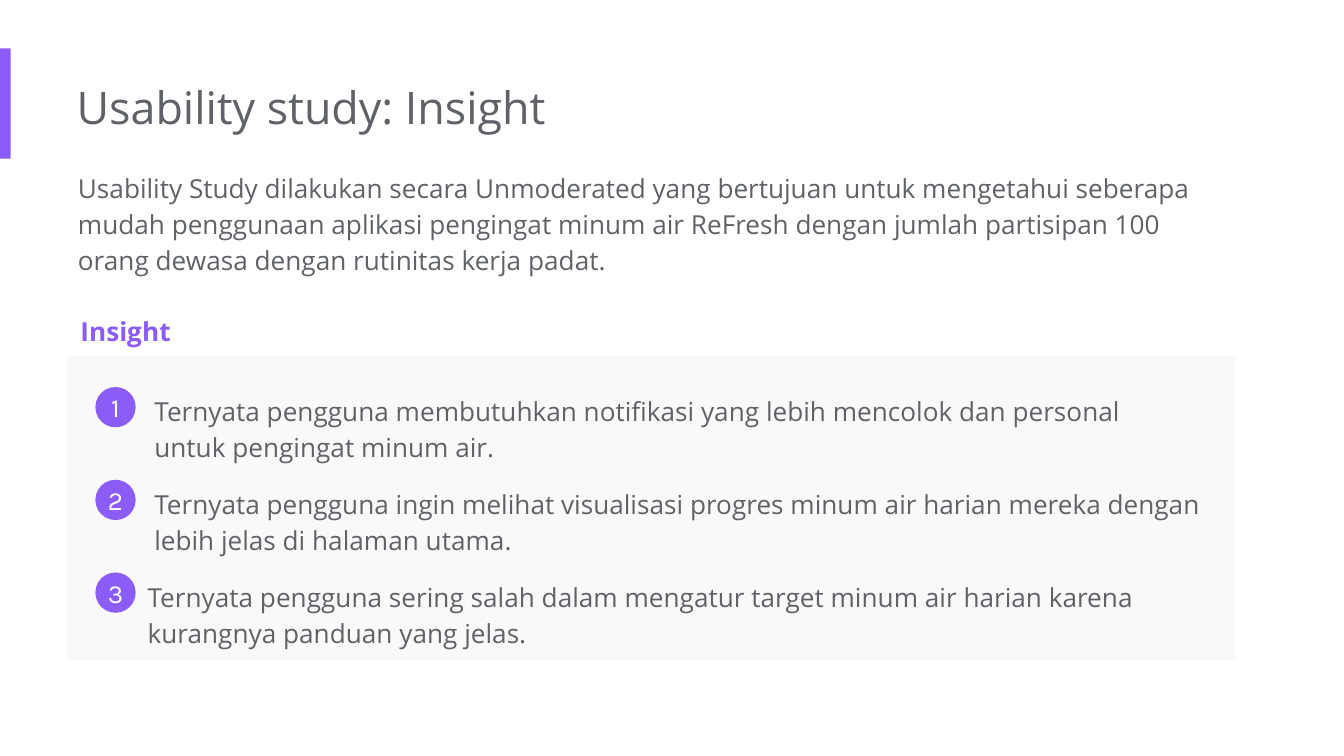
from dataclasses import dataclass

from pptx import Presentation
from pptx.dml.color import RGBColor
from pptx.enum.shapes import MSO_SHAPE
from pptx.enum.text import MSO_ANCHOR, MSO_AUTO_SIZE, PP_ALIGN
from pptx.util import Inches, Pt

RECT = MSO_SHAPE.RECTANGLE
OVAL = MSO_SHAPE.OVAL
TOP = MSO_ANCHOR.TOP
MIDDLE = MSO_ANCHOR.MIDDLE
GROW = MSO_AUTO_SIZE.SHAPE_TO_FIT_TEXT
LEFT = PP_ALIGN.LEFT
CENTER = PP_ALIGN.CENTER
TITLE_ONLY = 5


@dataclass(frozen=True)
class Theme:
    accent: str = "8B5CF6"
    ink: str = "5F6368"
    panel: str = "FAF8F9"
    white: str = "FFFFFF"
    font: str = "Open Sans"
    badge_font: str = "Karla"
    title_size: int = 24
    text_size: int = 14


class Page:
    def __init__(self, deck, theme):
        self.theme = theme
        self.slide = deck.slides.add_slide(deck.slide_layouts[TITLE_ONLY])

    def style(self, para, text, size, color, font, bold=False, align=LEFT):
        para.text = text
        para.alignment = align
        para.font.name = font
        para.font.size = Pt(size)
        para.font.bold = bold
        para.font.color.rgb = RGBColor.from_string(color)

    def frame(self, shape, inset):
        frame = shape.text_frame
        frame.word_wrap = True
        frame.auto_size = GROW
        frame.vertical_anchor = TOP
        frame.margin_left = Inches(inset)
        frame.margin_top = frame.margin_right = frame.margin_bottom = Inches(0.1)
        return frame.paragraphs[0]

    def title(self, text, x, y, w, h):
        shape = self.slide.shapes.title
        shape.left, shape.top = Inches(x), Inches(y)
        shape.width, shape.height = Inches(w), Inches(h)
        para = self.frame(shape, 0)
        self.style(para, text, self.theme.title_size, self.theme.ink, self.theme.font)

    def text(self, text, x, y, w, h, inset=0.1, color=None, bold=False):
        box = self.slide.shapes.add_textbox(Inches(x), Inches(y), Inches(w), Inches(h))
        para = self.frame(box, inset)
        self.style(para, text, self.theme.text_size, color or self.theme.ink,
                   self.theme.font, bold)
        para.line_spacing = 1.15

    def block(self, kind, x, y, w, h, color):
        shape = self.slide.shapes.add_shape(kind, Inches(x), Inches(y), Inches(w), Inches(h))
        shape.shadow.inherit = False
        shape.fill.solid()
        shape.fill.fore_color.rgb = RGBColor.from_string(color)
        shape.line.fill.background()
        return shape

    def badge(self, text, x, y, size):
        frame = self.block(OVAL, x, y, size, size, self.theme.accent).text_frame
        frame.margin_left = frame.margin_top = 0
        frame.margin_right = frame.margin_bottom = 0
        frame.vertical_anchor = MIDDLE
        self.style(frame.paragraphs[0], text, self.theme.text_size, self.theme.white,
                   self.theme.badge_font, align=CENTER)


INTRO = (
    "Usability Study dilakukan secara Unmoderated yang bertujuan untuk mengetahui "
    "seberapa mudah penggunaan aplikasi pengingat minum air ReFresh dengan jumlah "
    "partisipan 100 orang dewasa dengan rutinitas kerja padat."
)
ITEMS = [
    (1.05, 7.91, "Ternyata pengguna membutuhkan notifikasi yang lebih mencolok dan "
                 "personal untuk pengingat minum air."),
    (1.05, 8.04, "Ternyata pengguna ingin melihat visualisasi progres minum air harian "
                 "mereka dengan lebih jelas di halaman utama."),
    (1.0, 7.96, "Ternyata pengguna sering salah dalam mengatur target minum air harian "
                "karena kurangnya panduan yang jelas."),
]
ITEM_TOP = 2.81
ITEM_STEP = 0.69


def main():
    deck = Presentation()
    deck.slide_width = Inches(10)
    deck.slide_height = Inches(10 * 9 / 16)
    theme = Theme()
    page = Page(deck, theme)
    page.block(RECT, 0, 0.36, 0.08, 0.82, theme.accent)
    page.title("Usability study: Insight", 0.57, 0.49, 6.73, 0.61)
    page.text(INTRO, 0.58, 1.15, 8.61, 1.01, inset=0)
    page.text("Insight", 0.5, 2.21, 3.65, 0.44, color=theme.accent, bold=True)
    page.block(RECT, 0.5, 2.65, 8.69, 2.26, theme.panel)
    for index, (x, width, text) in enumerate(ITEMS):
        y = ITEM_TOP + index * ITEM_STEP
        page.text(text, x, y, width, 0.74)
        page.badge(str(index + 1), 0.71, y + 0.07, 0.3)
    deck.save("out.pptx")


if __name__ == "__main__":
    main()
